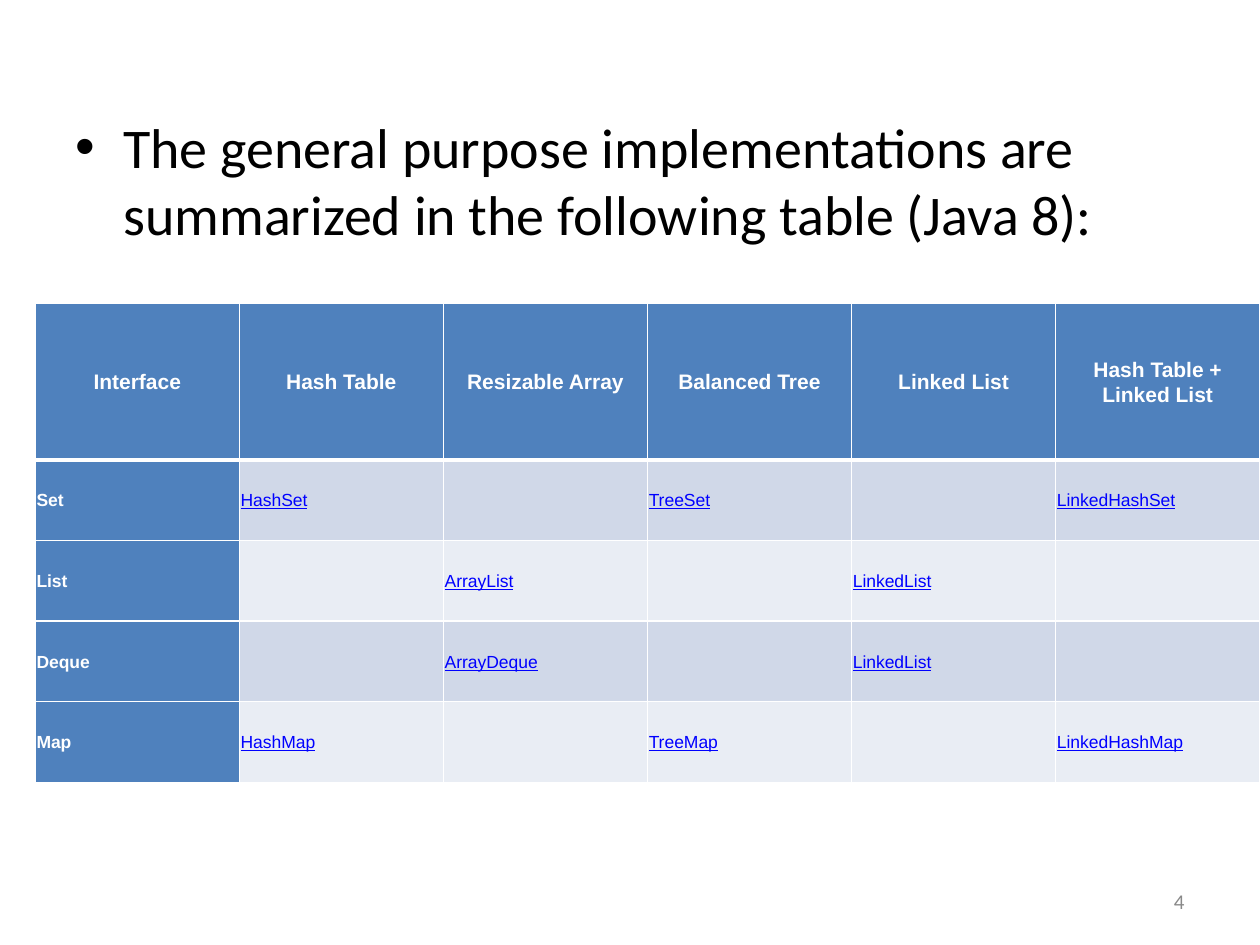
from lxml import etree
from pptx import Presentation
from pptx.dml.color import RGBColor
from pptx.enum.text import MSO_ANCHOR, PP_ALIGN
from pptx.oxml.ns import qn
from pptx.util import Inches, Pt

MIDDLE = MSO_ANCHOR.MIDDLE
CENTER, LEFT, RIGHT = PP_ALIGN.CENTER, PP_ALIGN.LEFT, PP_ALIGN.RIGHT
BLUE, WHITE, LINK = "4F81BD", "FFFFFF", "0000FF"
BANDS = ["D0D8E8", "E9EDF4"]


def color(value):
    return RGBColor.from_string(value)


def add_run(paragraph, text, font, size, fill, bold=False, underline=False):
    run = paragraph.add_run()
    run.text = text
    run.font.name = font
    run.font.size = Pt(size)
    run.font.color.rgb = color(fill)
    run.font.bold = bold
    run.font.underline = underline


presentation = Presentation()
presentation.slide_width = Inches(10)
presentation.slide_height = Inches(7.5)
slide = presentation.slides.add_slide(presentation.slide_layouts[6])

body = slide.shapes.add_textbox(Inches(0.5), Inches(0.84), Inches(9), Inches(5.86))
body.text_frame.word_wrap = True
paragraph = body.text_frame.paragraphs[0]
properties = paragraph._p.get_or_add_pPr()
properties.set("marL", str(Inches(0.38)))
properties.set("indent", str(Inches(-0.38)))
etree.SubElement(properties, qn("a:buFont"), typeface="Arial")
etree.SubElement(properties, qn("a:buChar"), char="•")
add_run(
    paragraph,
    "The general purpose implementations are summarized in the following table (Java 8):",
    "Calibri", 32, "000000",
)

rows = [
    ["Interface", "Hash Table", "Resizable Array", "Balanced Tree", "Linked List", "Hash Table + Linked List"],
    ["Set", "HashSet", "", "TreeSet", "", "LinkedHashSet"],
    ["List", "", "ArrayList", "", "LinkedList", ""],
    ["Deque", "", "ArrayDeque", "", "LinkedList", ""],
    ["Map", "HashMap", "", "TreeMap", "", "LinkedHashMap"],
]
table = slide.shapes.add_table(
    len(rows), len(rows[0]), Inches(0.28), Inches(2.41), Inches(9.72), Inches(3.8)
).table
for column in table.columns:
    column.width = Inches(1.62)

for row_index, row in enumerate(rows):
    is_header = row_index == 0
    table.rows[row_index].height = Inches(1.24 if is_header else 0.64)
    for column_index, text in enumerate(row):
        is_label = is_header or column_index == 0
        cell = table.cell(row_index, column_index)
        cell.vertical_anchor = MIDDLE
        cell.margin_left = cell.margin_right = Inches(0.01)
        cell.margin_top = cell.margin_bottom = Inches(0.01)
        cell_properties = cell._tc.get_or_add_tcPr()
        for side in ["L", "R", "T", "B"]:
            thick = (row_index, side) in [(0, "B"), (1, "T")]
            border = etree.SubElement(
                cell_properties, qn(f"a:ln{side}"), w=str(Pt(3 if thick else 1))
            )
            border_fill = etree.SubElement(border, qn("a:solidFill"))
            etree.SubElement(border_fill, qn("a:srgbClr"), val=WHITE)
        cell.fill.solid()
        cell.fill.fore_color.rgb = color(BLUE if is_label else BANDS[(row_index - 1) % 2])
        if text:
            paragraph = cell.text_frame.paragraphs[0]
            paragraph.alignment = CENTER if is_header else LEFT
            paragraph.line_spacing = 1.07
            add_run(
                paragraph, text, "Arial", 12 if is_header else 10,
                WHITE if is_label else LINK, bold=is_label, underline=not is_label,
            )

number = slide.shapes.add_textbox(Inches(7.17), Inches(6.95), Inches(2.33), Inches(0.4))
number.text_frame.word_wrap = True
number.text_frame.vertical_anchor = MIDDLE
paragraph = number.text_frame.paragraphs[0]
paragraph.alignment = RIGHT
add_run(paragraph, "4", "Calibri", 12, "898989")

presentation.save("out.pptx")
